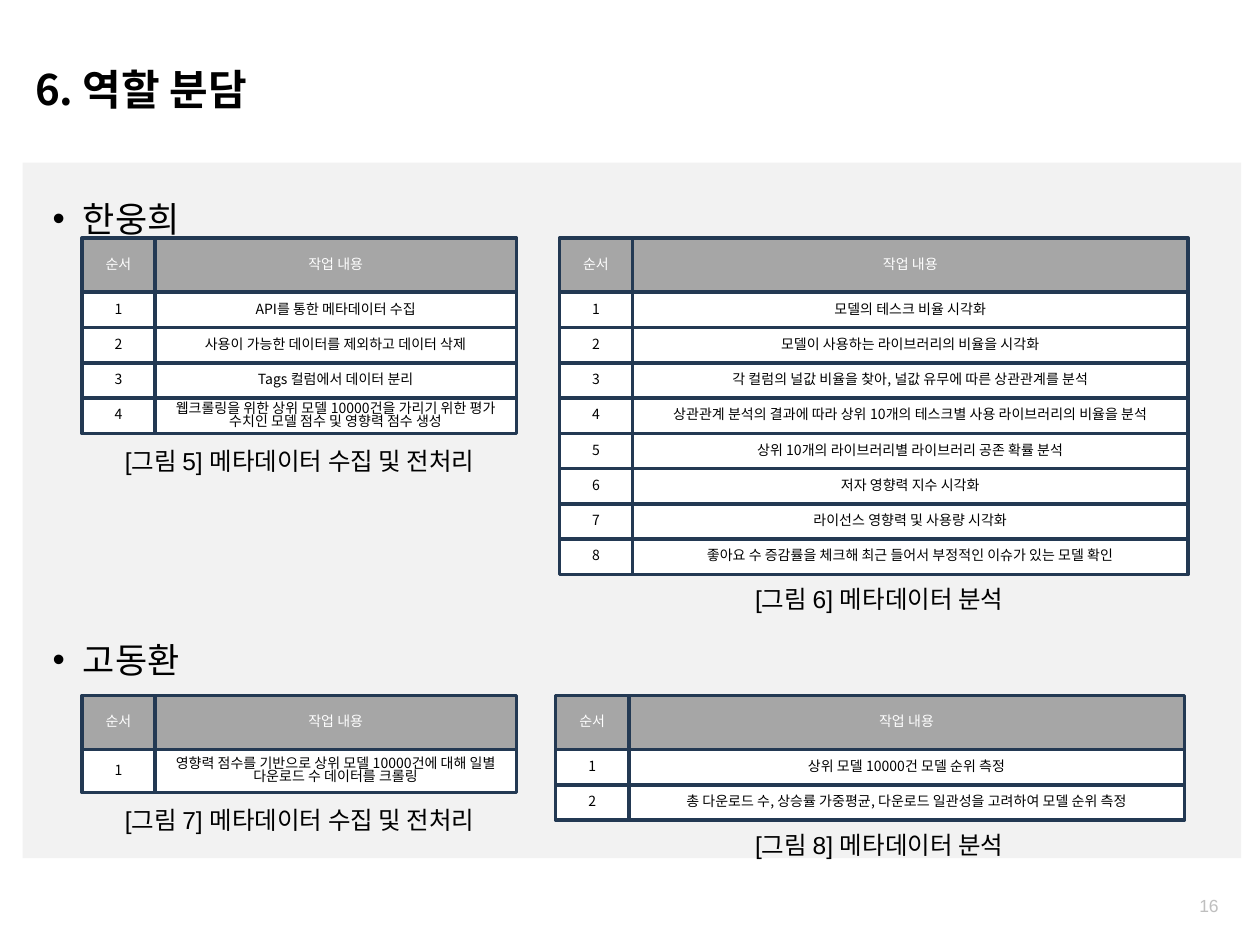
from lxml.etree import SubElement
from pptx import Presentation
from pptx.dml.color import RGBColor
from pptx.enum.shapes import MSO_SHAPE as SHAPE
from pptx.enum.text import MSO_ANCHOR as ANCHOR, PP_ALIGN as ALIGN
from pptx.oxml.ns import qn
from pptx.util import Inches, Pt

KOREAN, LATIN = "Noto Sans CJK KR", "Arial"
BLACK, WHITE, PANEL, HEADER, BORDER, MUTED = (
    "000000", "FFFFFF", "F2F2F2", "A6A6A6", "233953", "BFBFBF")

TITLE = "6. 역할 분담"
PAGE = "16"
MEMBERS = ["한웅희", "고동환"]
COLUMNS = ("순서", "작업 내용")
NUMBER_W, HEADER_H = 0.58, 0.43

# left, top, task width, row height, tasks
GRIDS = [
    (0.65, 1.89, 2.87, 0.28, [
        "API를 통한 메타데이터 수집",
        "사용이 가능한 데이터를 제외하고 데이터 삭제",
        "Tags 컬럼에서 데이터 분리",
        "웹크롤링을 위한 상위 모델 10000건을 가리기 위한 평가 수치인 모델 점수 및 영향력 점수 생성",
    ]),
    (4.44, 1.89, 4.41, 0.28, [
        "모델의 테스크 비율 시각화",
        "모델이 사용하는 라이브러리의 비율을 시각화",
        "각 컬럼의 널값 비율을 찾아, 널값 유무에 따른 상관관계를 분석",
        "상관관계 분석의 결과에 따라 상위 10개의 테스크별 사용 라이브러리의 비율을 분석",
        "상위 10개의 라이브러리별 라이브러리 공존 확률 분석",
        "저자 영향력 지수 시각화",
        "라이선스 영향력 및 사용량 시각화",
        "좋아요 수 증감률을 체크해 최근 들어서 부정적인 이슈가 있는 모델 확인",
    ]),
    (0.65, 5.52, 2.87, 0.34, [
        "영향력 점수를 기반으로 상위 모델 10000건에 대해 일별 다운로드 수 데이터를 크롤링",
    ]),
    (4.41, 5.52, 4.41, 0.28, [
        "상위 모델 10000건 모델 순위 측정",
        "총 다운로드 수, 상승률 가중평균, 다운로드 일관성을 고려하여 모델 순위 측정",
    ]),
]

# left, top, text
CAPTIONS = [
    (0.65, 3.54, "[그림 5] 메타데이터 수집 및 전처리"),
    (5.25, 4.64, "[그림 6] 메타데이터 분석"),
    (0.65, 6.39, "[그림 7] 메타데이터 수집 및 전처리"),
    (5.25, 6.59, "[그림 8] 메타데이터 분석"),
]


def rgb(color):
    return RGBColor.from_string(color)


def style(p, size, color=BLACK, font=KOREAN, bold=False, align=ALIGN.LEFT):
    p.alignment = align
    p.font.size, p.font.bold, p.font.name = Pt(size), bold, font
    p.font.color.rgb = rgb(color)
    r_pr = p._p.pPr.find(qn("a:defRPr"))
    SubElement(r_pr, qn("a:ea"), typeface=KOREAN)


def add_text(slide, box, lines, anchor=ANCHOR.MIDDLE, **look):
    tf = slide.shapes.add_textbox(*map(Inches, box)).text_frame
    tf.word_wrap, tf.vertical_anchor = True, anchor
    tf.text = "\n".join(lines)
    for p in tf.paragraphs:
        style(p, **look)
    return tf


def add_bullet(p):
    p_pr = p._p.pPr
    p_pr.set("marL", str(Inches(0.38)))
    p_pr.set("indent", str(Inches(-0.24)))
    bullet_font = p_pr.makeelement(qn("a:buFont"), {"typeface": LATIN})
    bullet = p_pr.makeelement(qn("a:buChar"), {"char": "•"})
    r_pr = p_pr.find(qn("a:defRPr"))
    r_pr.addprevious(bullet_font)
    r_pr.addprevious(bullet)


def add_rect(slide, box, fill):
    sp = slide.shapes.add_shape(SHAPE.RECTANGLE, *map(Inches, box))
    sp.shadow.inherit = False
    sp.fill.solid()
    sp.fill.fore_color.rgb = rgb(fill)
    sp.line.fill.background()
    return sp


def add_cell(slide, box, text, is_header):
    sp = add_rect(slide, box, HEADER if is_header else WHITE)
    sp.line.color.rgb = rgb(BORDER)
    sp.line.width = Pt(2)
    tf = sp.text_frame
    tf.word_wrap, tf.vertical_anchor = True, ANCHOR.MIDDLE
    tf.margin_top = tf.margin_bottom = 0
    tf.text = text
    p = tf.paragraphs[0]
    p.line_spacing = 0.8
    style(p, 8, WHITE if is_header else BLACK, align=ALIGN.CENTER)


def add_grid(slide, left, top, task_w, row_h, tasks):
    rows = [COLUMNS] + [(str(n), task) for n, task in enumerate(tasks, 1)]
    for i, (number, task) in enumerate(rows):
        y = top + HEADER_H + (i - 1) * row_h if i else top
        h = row_h if i else HEADER_H
        add_cell(slide, (left, y, NUMBER_W, h), number, i == 0)
        add_cell(slide, (left + NUMBER_W, y, task_w, h), task, i == 0)


def main():
    prs = Presentation()
    prs.slide_width, prs.slide_height = Inches(10), Inches(7.5)
    slide = prs.slides.add_slide(prs.slide_layouts[6])

    add_rect(slide, (0.18, 1.29, 9.67, 5.52), PANEL)
    add_text(slide, (0.18, 0.45, 9.67, 0.51), [TITLE], size=24, bold=True)
    add_text(slide, (9.42, 7.06, 0.43, 0.26), [PAGE],
             size=10, color=MUTED, font=LATIN)

    members = add_text(slide, (0.18, 1.35, 9.64, 5.36), MEMBERS,
                       anchor=ANCHOR.TOP, size=20)
    for p in members.paragraphs:
        p.line_spacing = 1.5
        add_bullet(p)
    members.paragraphs[1].space_before = Pt(216)

    for grid in GRIDS:
        add_grid(slide, *grid)
    for left, top, text in CAPTIONS:
        add_text(slide, (left, top, 3.46, 0.23), [text],
                 size=14, font=LATIN, align=ALIGN.CENTER)

    prs.save("out.pptx")


if __name__ == "__main__":
    main()
